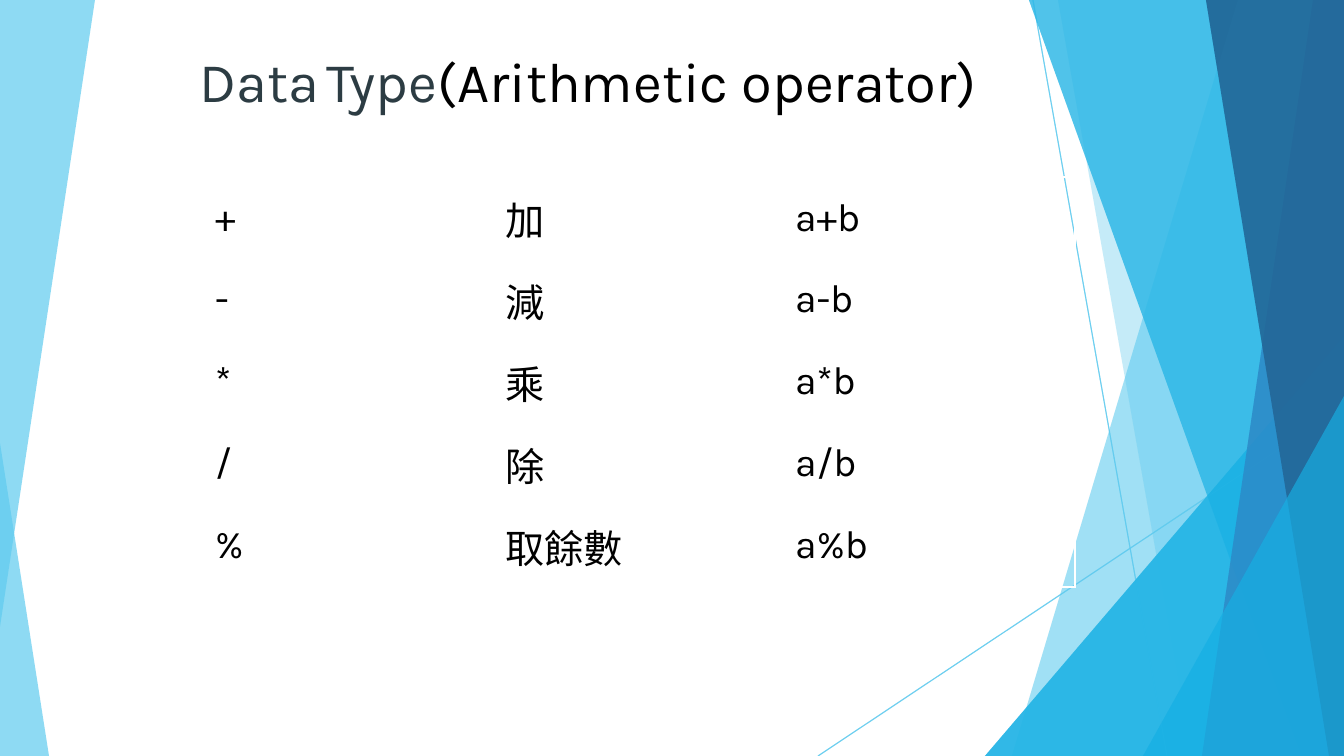
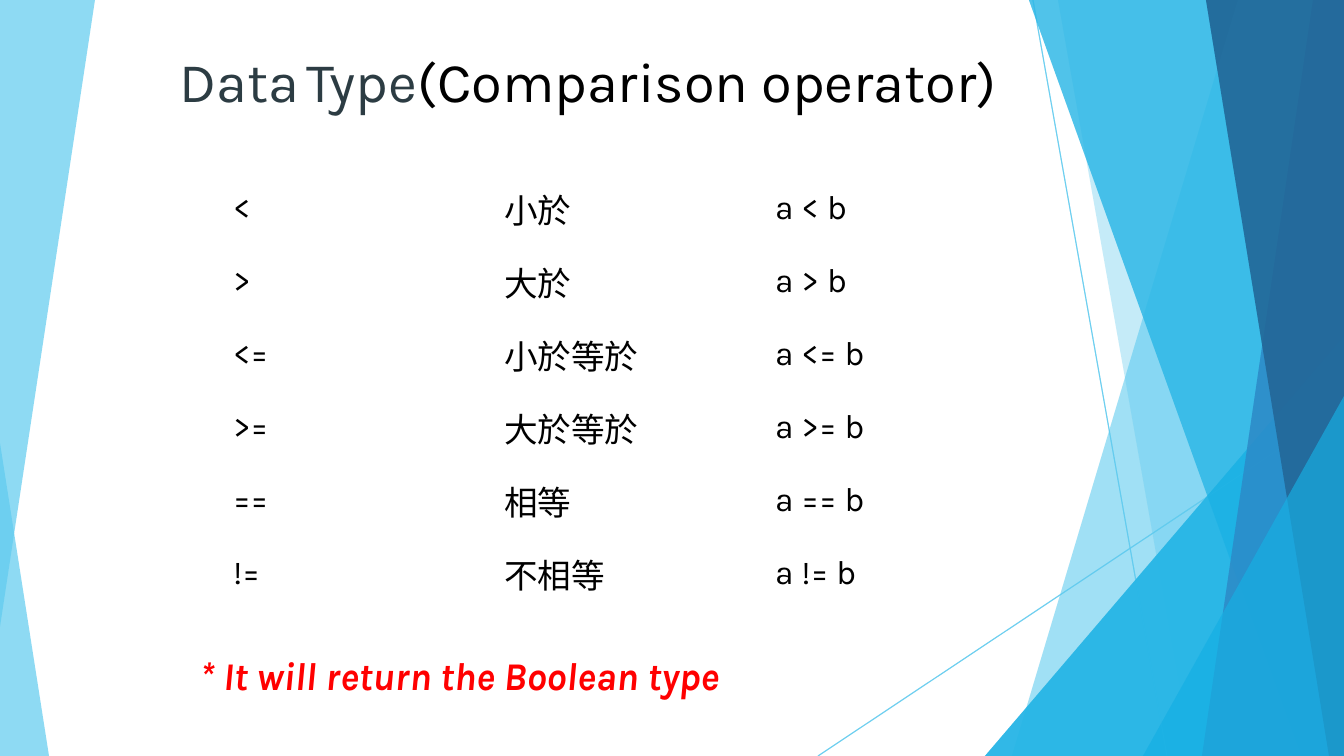
from lxml import etree
from pptx import Presentation
from pptx import util as u
from pptx.dml.color import RGBColor
from pptx.enum import shapes, text
from pptx.oxml.ns import qn

PX = 9144 / 1.008
WIDTH, HEIGHT = 1344, 756
FONT = "Karla"
COLORS = {
    "sky": "5FCBEF",
    "cyan": "17B0E4",
    "blue": "2E83C3",
    "navy": "226292",
    "slate": "2C3C43",
    "black": "000000",
    "red": "FF0000",
}
ARITHMETIC = [
    ("+", "加", "a+b"),
    ("-", "減", "a-b"),
    ("*", "乘", "a*b"),
    ("/", "除", "a/b"),
    ("%", "取餘數", "a%b"),
]
COMPARISON = [
    ("<", "小於", "a < b"),
    (">", "大於", "a > b"),
    ("<=", "小於等於", "a <= b"),
    (">=", "大於等於", "a >= b"),
    ("==", "相等", "a == b"),
    ("!=", "不相等", "a != b"),
]


def px(*lengths):
    return [u.Emu(round(length * PX)) for length in lengths]


def color(name):
    return RGBColor.from_string(COLORS[name])


def set_font(font, size, name):
    font.name, font.size = FONT, u.Pt(size)
    font.color.rgb = color(name)


def set_opacity(shape, percent):
    for tint in shape.element.iter(qn("a:srgbClr")):
        etree.SubElement(tint, qn("a:alpha"), val=str(percent * 1000))


def paint(shape, name, percent):
    shape.shadow.inherit = False
    shape.fill.solid()
    shape.fill.fore_color.rgb = color(name)
    shape.line.fill.background()
    set_opacity(shape, percent)
    return shape


def add_line(page, *ends):
    line = page.shapes.add_connector(shapes.MSO_CONNECTOR.STRAIGHT, *px(*ends))
    line.line.color.rgb = color("sky")
    line.line.width = u.Pt(0.75)
    etree.SubElement(line.element.spPr, qn("a:effectLst"))
    set_opacity(line, 70)
    return line


def add_polygon(page, points, name, percent):
    builder = page.shapes.build_freeform(*points[0], scale=PX)
    builder.add_line_segments(points[1:])
    return paint(builder.convert_to_shape(), name, percent)


def add_shard(page, top, bottom, name, percent):
    """Fill the area from a slanted edge to the right side of the page."""
    points = [(top, 0), (WIDTH, 0), (WIDTH, HEIGHT), (bottom, HEIGHT)]
    return add_polygon(page, points, name, percent)


def add_corner(page, left, top, width, peak, name, percent):
    """Stand a triangle on the bottom edge, its peak at 0 (left) to 1 (right)."""
    corner = page.shapes.add_shape(
        shapes.MSO_SHAPE.ISOSCELES_TRIANGLE, *px(left, top, width, HEIGHT - top))
    corner.adjustments[0] = peak
    return paint(corner, name, percent)


def draw_facets(page):
    return [
        add_line(page, 1033, 0, 1167, HEIGHT),
        add_line(page, WIDTH, 406, 818, HEIGHT),
        add_shard(page, 1238, 1012, "sky", 36),
        add_shard(page, 1058, 1192, "sky", 20),
        add_corner(page, 985, 336, 359, 1, "cyan", 66),
        add_shard(page, 1029, 1301, "cyan", 50),
        add_shard(page, 1313, 1202, "blue", 70),
        add_shard(page, 1206, 1329, "navy", 80),
        add_corner(page, 1143, 396, 201, 1, "cyan", 66),
    ]


def decorate_layout(layout, page):
    """Draw the background on a page, then move it to the shared layout."""
    # Two translucent layers give the facets their depth.
    decor = draw_facets(page) + draw_facets(page)
    decor.append(add_corner(page, 0, 443, 49, 0, "sky", 70))
    decor.append(add_polygon(page, [(0, 0), (95, 0), (0, 627)], "sky", 70))
    for number, shape in enumerate(decor, 100):
        shape.element.xpath("./*/p:cNvPr")[0].set("id", str(number))
        layout.shapes.element.append(shape.element)


def set_title(page, topic):
    title = page.shapes.title
    title.left, title.top, title.width, title.height = px(64, 31, 998, 88)
    frame = title.text_frame
    frame.word_wrap = True
    frame.auto_size = text.MSO_AUTO_SIZE.NONE
    frame.vertical_anchor = text.MSO_ANCHOR.BOTTOM
    frame.margin_left = u.Inches(0.6)
    para = frame.paragraphs[0]
    para.alignment = text.PP_ALIGN.CENTER
    for words, size, name in [("Data", 40, "slate"), (" ", 20, "slate"),
                              ("Type", 40, "slate"), (f"({topic})", 40, "black")]:
        span = para.add_run()
        span.text = words
        set_font(span.font, size, name)


def add_operators(page, rows, left, top, column, row_height, size):
    columns = len(rows[0])
    table = page.shapes.add_table(
        len(rows), columns,
        *px(left, top, column * columns, row_height * len(rows))).table
    table.first_row = table.horz_banding = False
    for r, row in enumerate(rows):
        for c, words in enumerate(row):
            cell = table.cell(r, c)
            cell.text = words
            cell.fill.background()
            cell.vertical_anchor = text.MSO_ANCHOR.MIDDLE
            set_font(cell.text_frame.paragraphs[0].font, size, "black")


def add_remark(page, words):
    box = page.shapes.add_textbox(*px(190, 646, 768, 57))
    box.text_frame.word_wrap = True
    para = box.text_frame.paragraphs[0]
    para.text = words
    set_font(para.font, 28, "red")
    para.font.bold = para.font.italic = True


def main():
    deck = Presentation()
    deck.slide_width, deck.slide_height = px(WIDTH, HEIGHT)
    layout = deck.slide_layouts.get_by_name("Title Only")

    page = deck.slides.add_slide(layout)
    decorate_layout(layout, page)
    set_title(page, "Arithmetic operator")
    add_operators(page, ARITHMETIC, 205, 177, 290, 82, 28)

    page = deck.slides.add_slide(layout)
    set_title(page, "Comparison operator")
    add_operators(page, COMPARISON, 223, 172, 271, 73, 24)
    add_remark(page, "* It will return the Boolean type")

    deck.save("out.pptx")


if __name__ == "__main__":
    main()
